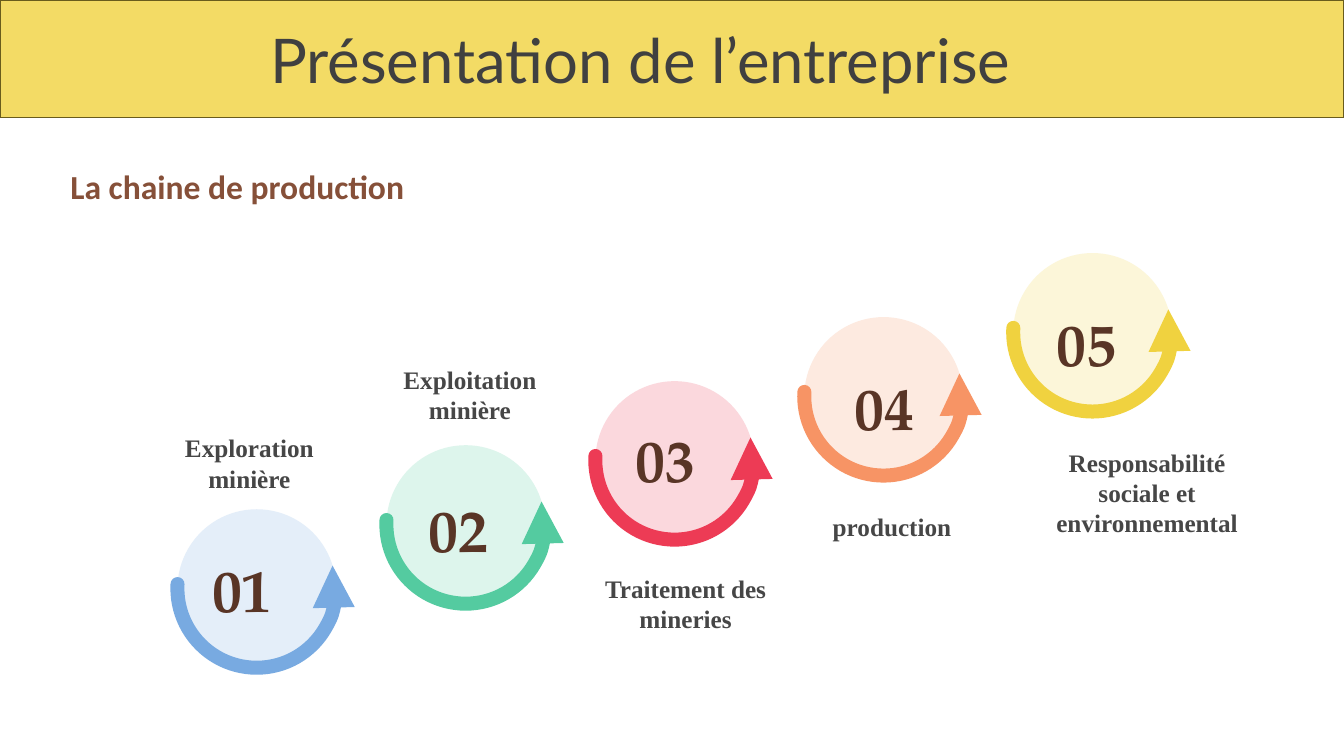
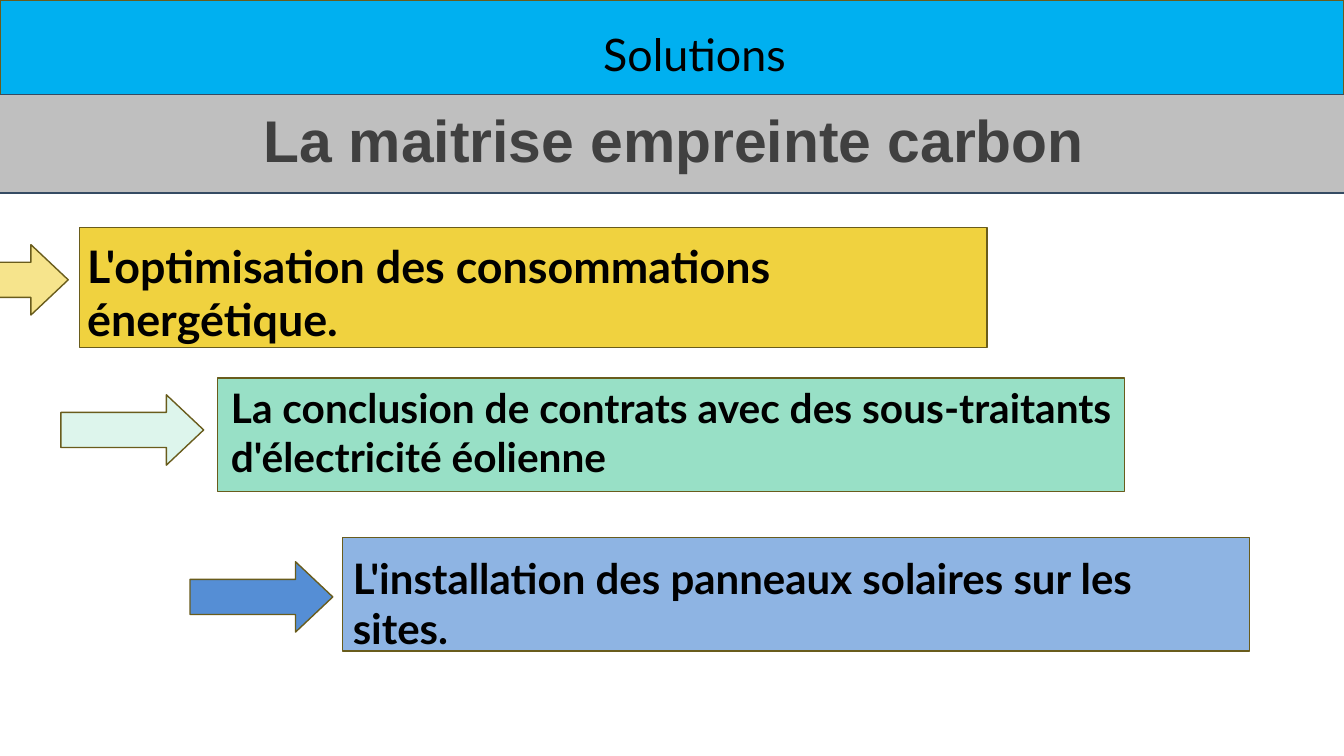
from lxml import etree
from pptx import Presentation
from pptx.dml.color import RGBColor
from pptx.enum.shapes import MSO_SHAPE
from pptx.enum.text import MSO_ANCHOR, MSO_AUTO_SIZE, PP_ALIGN
from pptx.oxml.ns import qn
from pptx.util import Pt

PX = 9525
RECT, OVAL = MSO_SHAPE.RECTANGLE, MSO_SHAPE.OVAL
ARC, ARROW = MSO_SHAPE.ARC, MSO_SHAPE.RIGHT_ARROW
LEFT, CENTER = PP_ALIGN.LEFT, PP_ALIGN.CENTER
TOP, MIDDLE = MSO_ANCHOR.TOP, MSO_ANCHOR.MIDDLE
EDGE, SLATE = "695C1C", "354B63"
INK, BLACK = "404040", "000000"
YELLOW, MINT = "F0D23F", "DDF5EC"
SIDES = ("left", "top", "width", "height")
PADS = ("margin_left", "margin_top", "margin_right", "margin_bottom")


def paint(shape, fill, edge=None, width=1):
    """Set fill and outline; None means neither is drawn."""
    for part, color in ((shape.fill, fill), (shape.line.fill, edge)):
        if color:
            part.solid()
            part.fore_color.rgb = RGBColor.from_string(color)
        else:
            part.background()
    if edge:
        shape.line.width = Pt(width)
    shape.shadow.inherit = False


def write(shape, words, font, color, align=LEFT, anchor=TOP, pads=(10, 5, 10, 5)):
    """Fill a shape with one paragraph; font holds the run's format values."""
    frame = shape.text_frame
    frame.word_wrap = True
    frame.auto_size = MSO_AUTO_SIZE.NONE
    frame.vertical_anchor = anchor
    for name, pad in zip(PADS, pads):
        setattr(frame, name, pad * PX)
    para = frame.paragraphs[0]
    para.alignment = align
    run = para.add_run()
    run.text = words
    for name, value in font.items():
        setattr(run.font, name, value)
    run.font.color.rgb = RGBColor.from_string(color)


deck = Presentation()
deck.slide_width, deck.slide_height = 1280 * PX, 720 * PX

# Title bands: words, height, fill, size, colour, padding
bands = [
    ("Présentation de l’entreprise", 112, "F3DB65", 44, INK, (0, 0, 60, 0)),
    ("Solutions", 108, "00B0F0", 32, BLACK, (43, 0, 0, 6)),
]
slides = []
for words, high, fill, size, color, pads in bands:
    slide = deck.slides.add_slide(deck.slide_layouts[5])
    title = slide.shapes.title
    for name, value in zip(SIDES, (0, 0, 1280, high)):
        setattr(title, name, value * PX)
    paint(title, fill, EDGE)
    write(title, words, {"name": "Lato", "size": Pt(size)}, color, CENTER, MIDDLE, pads)
    slides.append(slide)
chain, plan = slides

# Production chain
head = chain.shapes.add_textbox(*(v * PX for v in (57, 153, 461, 48)))
write(head, "La chaine de production",
      {"name": "Calibri", "size": Pt(24), "bold": True}, "865039")

# Disc colour, arc colour, number place, label, label box
steps = [
    ("E4EEF9", "78AAE1", (192, 521), "Exploration minière", (145, 407, 185, 68)),
    (MINT, "54CBA0", (398, 464), "Exploitation minière", (372, 342, 151, 68)),
    ("FBD8DD", "ED3B55", (595, 398), "Traitement des mineries", (557, 541, 192, 68)),
    ("FDEAE0", "F79465", (804, 348), "production", (774, 482, 151, 38)),
    ("FCF6D9", YELLOW, (996, 287), "Responsabilité sociale et environnemental",
     (973, 421, 239, 97)),
]
digit = {"name": "TeX Gyre Pagella", "size": Pt(42.7), "bold": True}
label = {"name": "Times New Roman", "size": Pt(18), "bold": True}
for i, (pale, vivid, spot, words, box) in enumerate(steps):
    group = chain.shapes.add_group_shape()
    ring = [v * PX for v in (169 + 199 * i, 485 - 61 * i, 151, 151)]
    paint(group.shapes.add_shape(OVAL, *ring), pale)
    arc = group.shapes.add_shape(ARC, *ring)
    arc.adjustments[0], arc.adjustments[1] = 205.93, 109.9
    paint(arc, None, vivid, 10)
    line = arc.line._get_or_add_ln()
    line.set("cap", "rnd")
    etree.SubElement(line, qn("a:round"))
    etree.SubElement(line, qn("a:headEnd"), type="triangle")

    number = chain.shapes.add_textbox(*(v * PX for v in (*spot, 95, 79)))
    write(number, f"{i + 1:02}", digit, "593526")
    note = chain.shapes.add_textbox(*(v * PX for v in box))
    write(note, words, label, "464646", CENTER)

# Carbon footprint solutions
strip = plan.shapes.add_shape(RECT, *(v * PX for v in (-2, 90, 1288, 94)))
paint(strip, "BFBFBF", SLATE)
write(strip, "La maitrise empreinte carbon",
      {"name": "Arial", "size": Pt(42), "bold": True}, INK, CENTER, MIDDLE)
strip.text_frame.paragraphs[0].line_spacing = 0.9

# Words, size, box, box colour, padding, arrow place, arrow colour
ideas = [
    ("L'optimisation des consommations énergétique.", 32,
     (76, 217, 864, 114), YELLOW, (7, 10, 2, 0), (-71, 233), "F6E48C"),
    ("La conclusion de contrats avec des sous-traitants d'électricité éolienne", 29,
     (207, 360, 864, 108), "98E0C6", (13, 5, 9, 0), (58, 376), MINT),
    ("L'installation des panneaux solaires sur les sites.", 30,
     (326, 512, 864, 108), "8EB4E3", (10, 14, 12, 0), (181, 535), "558ED5"),
]
for words, size, box, fill, pads, spot, tint in ideas:
    card = plan.shapes.add_shape(RECT, *(v * PX for v in box))
    paint(card, fill, EDGE)
    write(card, words, {"name": "Lato", "size": Pt(size), "bold": True}, BLACK, pads=pads)
    arrow = plan.shapes.add_shape(ARROW, *(v * PX for v in (*spot, 136, 67)))
    arrow.adjustments[0], arrow.adjustments[1] = 0.5, 0.53
    paint(arrow, tint, EDGE)

deck.save("out.pptx")
